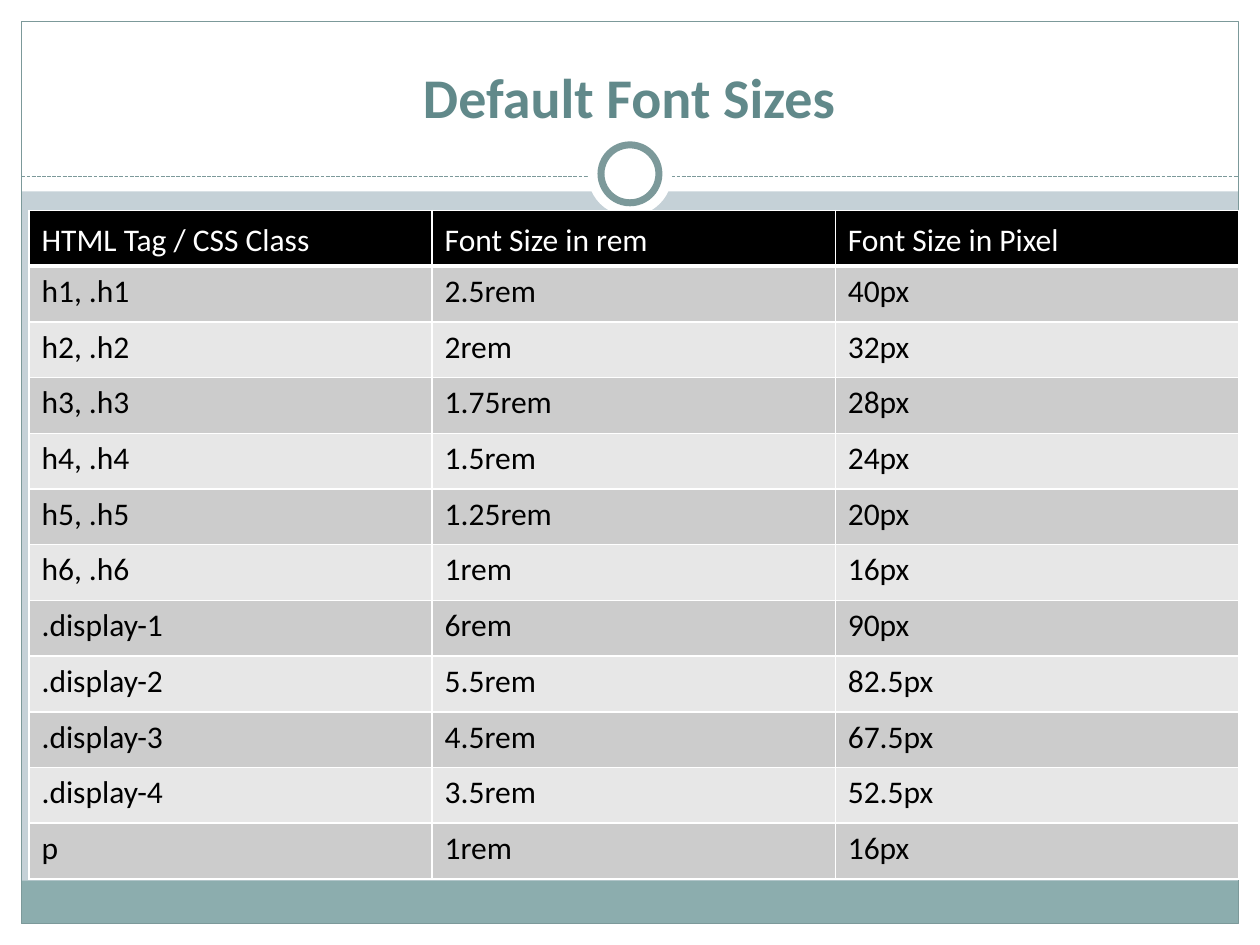
from lxml import etree
from pptx import Presentation
from pptx.dml.color import RGBColor
from pptx.enum.dml import MSO_LINE
from pptx.enum.shapes import MSO_CONNECTOR, MSO_SHAPE
from pptx.enum.text import MSO_ANCHOR, PP_ALIGN
from pptx.oxml.ns import qn
from pptx.util import Inches, Pt

RECT, OVAL = MSO_SHAPE.RECTANGLE, MSO_SHAPE.OVAL
STRAIGHT, DASH = MSO_CONNECTOR.STRAIGHT, MSO_LINE.SQUARE_DOT
TOP, BOTTOM = MSO_ANCHOR.TOP, MSO_ANCHOR.BOTTOM
LEFT, CENTER = PP_ALIGN.LEFT, PP_ALIGN.CENTER

BLACK = RGBColor(0x00, 0x00, 0x00)
WHITE = RGBColor(0xFF, 0xFF, 0xFF)
PALE_BLUE = RGBColor(0xC5, 0xD1, 0xD7)
TEAL = RGBColor(0x8C, 0xAD, 0xAE)
TEAL_LINE = RGBColor(0x7C, 0x99, 0x9A)
TEAL_TEXT = RGBColor(0x61, 0x89, 0x8A)
BANDS = (RGBColor(0xCC, 0xCC, 0xCC), RGBColor(0xE7, 0xE7, 0xE7))

FONT = "Calibri"
TITLE = "Default Font Sizes"
ROWS = [
    ("HTML Tag / CSS Class", "Font Size in rem", "Font Size in Pixel"),
    ("h1, .h1", "2.5rem", "40px"),
    ("h2, .h2", "2rem", "32px"),
    ("h3, .h3", "1.75rem", "28px"),
    ("h4, .h4", "1.5rem", "24px"),
    ("h5, .h5", "1.25rem", "20px"),
    ("h6, .h6", "1rem", "16px"),
    (".display-1", "6rem", "90px"),
    (".display-2", "5.5rem", "82.5px"),
    (".display-3", "4.5rem", "67.5px"),
    (".display-4", "3.5rem", "52.5px"),
    ("p", "1rem", "16px"),
]

SLIDE_W, SLIDE_H, MARGIN = 10, 7.5, 0.17
INNER_W, INNER_H = SLIDE_W - 2 * MARGIN, SLIDE_H - 2 * MARGIN
RIGHT_EDGE, BOTTOM_EDGE = SLIDE_W - MARGIN, SLIDE_H - MARGIN
RULE_Y, RING_Y, FOOTER_H = 1.4, 1.38, 0.34
TABLE_X, TABLE_Y, TABLE_W, TABLE_H = 0.23, 1.67, 9.6, 5.31

# shape, left, top, width, height, fill, line width
PANELS = [
    (RECT, 0, BOTTOM_EDGE, SLIDE_W, MARGIN, WHITE, None),
    (RECT, 0, 0, SLIDE_W, 1.52, WHITE, None),
    (RECT, 0, 0, MARGIN, SLIDE_H, WHITE, None),
    (RECT, RIGHT_EDGE, 0, MARGIN, SLIDE_H, WHITE, None),
    (RECT, MARGIN, BOTTOM_EDGE - FOOTER_H, INNER_W, FOOTER_H, TEAL, None),
    (RECT, MARGIN, MARGIN, INNER_W, INNER_H, None, 0.75),
]
RING = [(0.67, None), (0.46, 4)]  # diameter, line width


def add_panel(s, kind, x, y, w, h, fill, line_width):
    sp = s.shapes.add_shape(kind, Inches(x), Inches(y), Inches(w), Inches(h))
    sp.shadow.inherit = False
    if fill is None:
        sp.fill.background()
    else:
        sp.fill.solid()
        sp.fill.fore_color.rgb = fill
    if line_width is None:
        sp.line.fill.background()
    else:
        sp.line.color.rgb = TEAL_LINE
        sp.line.width = Pt(line_width)


def add_rule(s):
    y = Inches(RULE_Y)
    line = s.shapes.add_connector(STRAIGHT, Inches(MARGIN), y, Inches(RIGHT_EDGE), y)
    line.line.color.rgb = TEAL_LINE
    line.line.width = Pt(0.75)
    line.line.dash_style = DASH
    etree.SubElement(line._element.spPr, qn("a:effectLst"))


def write(tf, text, size=18, color=BLACK, bold=False, align=LEFT):
    p = tf.paragraphs[0]
    p.alignment = align
    r = p.add_run()
    r.text = text
    r.font.name, r.font.size, r.font.bold = FONT, Pt(size), bold
    r.font.color.rgb = color


def set_borders(cell, **widths):
    """Draw white cell borders; widths in points by side: L, R, T, B."""
    tc_pr = cell._tc.get_or_add_tcPr()
    for i, (side, width) in enumerate(widths.items()):
        ln = etree.Element(qn(f"a:ln{side}"), w=str(Pt(width)))
        fill = etree.SubElement(ln, qn("a:solidFill"))
        etree.SubElement(fill, qn("a:srgbClr"), val=str(WHITE))
        tc_pr.insert(i, ln)


def add_size_table(s):
    n_rows, n_cols = len(ROWS), len(ROWS[0])
    table = s.shapes.add_table(n_rows, n_cols, Inches(TABLE_X), Inches(TABLE_Y),
                               Inches(TABLE_W), Inches(TABLE_H)).table
    for col in table.columns:
        col.width = Inches(TABLE_W / n_cols)
    for i, row in enumerate(ROWS):
        header = i == 0
        table.rows[i].height = Inches(TABLE_H / n_rows)
        for j, text in enumerate(row):
            cell = table.cell(i, j)
            cell.vertical_anchor = BOTTOM if header else TOP
            cell.fill.solid()
            cell.fill.fore_color.rgb = BLACK if header else BANDS[(i - 1) % 2]
            set_borders(cell, L=1, R=1, T=3 if i == 1 else 1, B=3 if header else 1)
            write(cell.text_frame, text, color=WHITE if header else BLACK)


def main():
    prs = Presentation()
    prs.slide_width, prs.slide_height = Inches(SLIDE_W), Inches(SLIDE_H)
    s = prs.slides.add_slide(prs.slide_layouts[6])
    s.background.fill.solid()
    s.background.fill.fore_color.rgb = PALE_BLUE

    for panel in PANELS:
        add_panel(s, *panel)
    add_rule(s)
    for d, line_width in RING:
        add_panel(s, OVAL, (SLIDE_W - d) / 2, RING_Y - d / 2, d, d, WHITE, line_width)

    title = s.shapes.add_textbox(Inches(0.33), Inches(0.25), Inches(9.33), Inches(0.83))
    tf = title.text_frame
    tf.word_wrap = True
    tf.vertical_anchor = BOTTOM
    write(tf, TITLE, size=32, color=TEAL_TEXT, bold=True, align=CENTER)

    add_size_table(s)
    prs.save("out.pptx")


if __name__ == "__main__":
    main()
